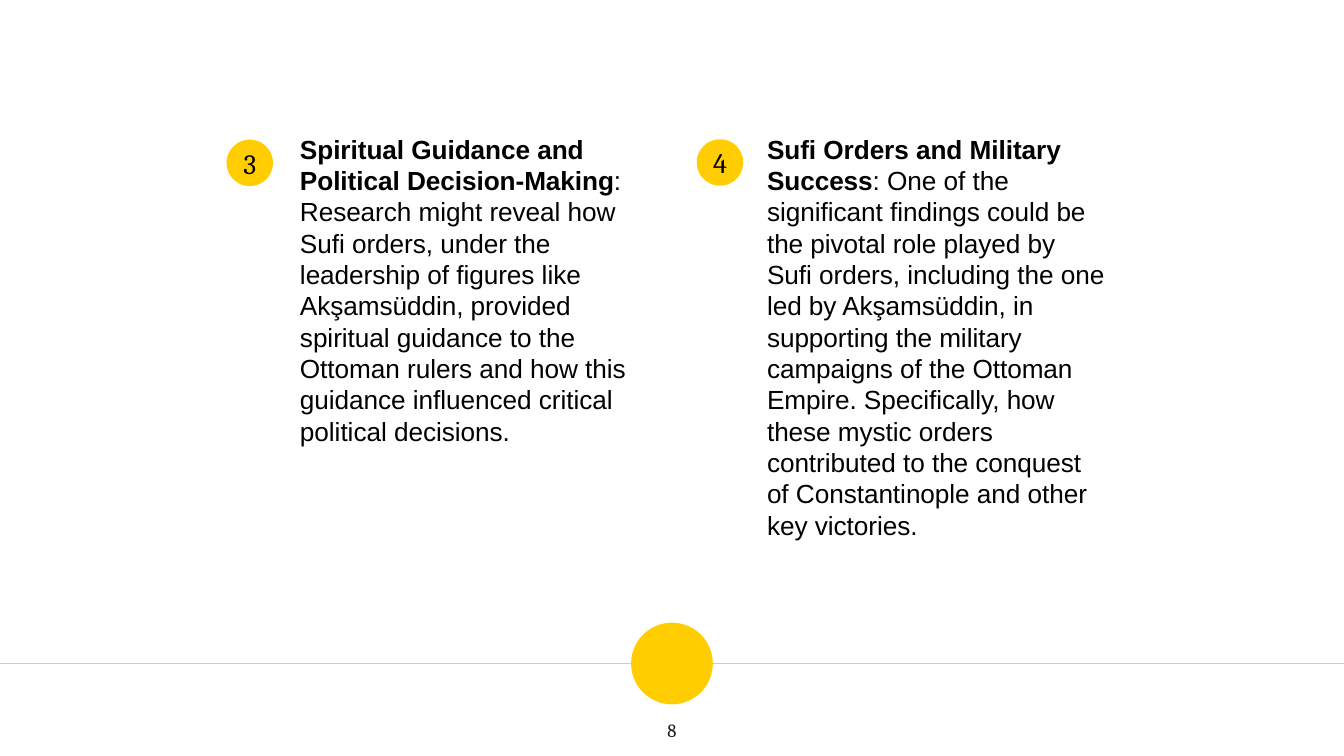
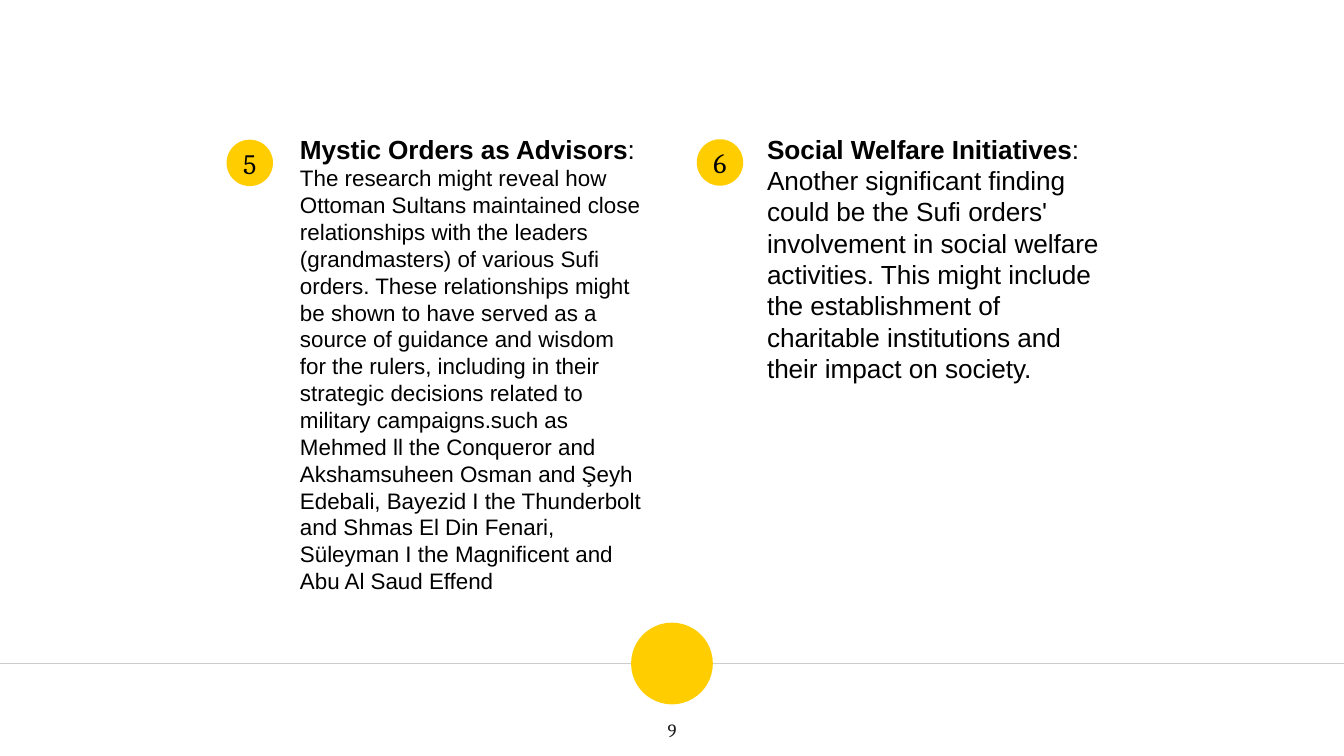
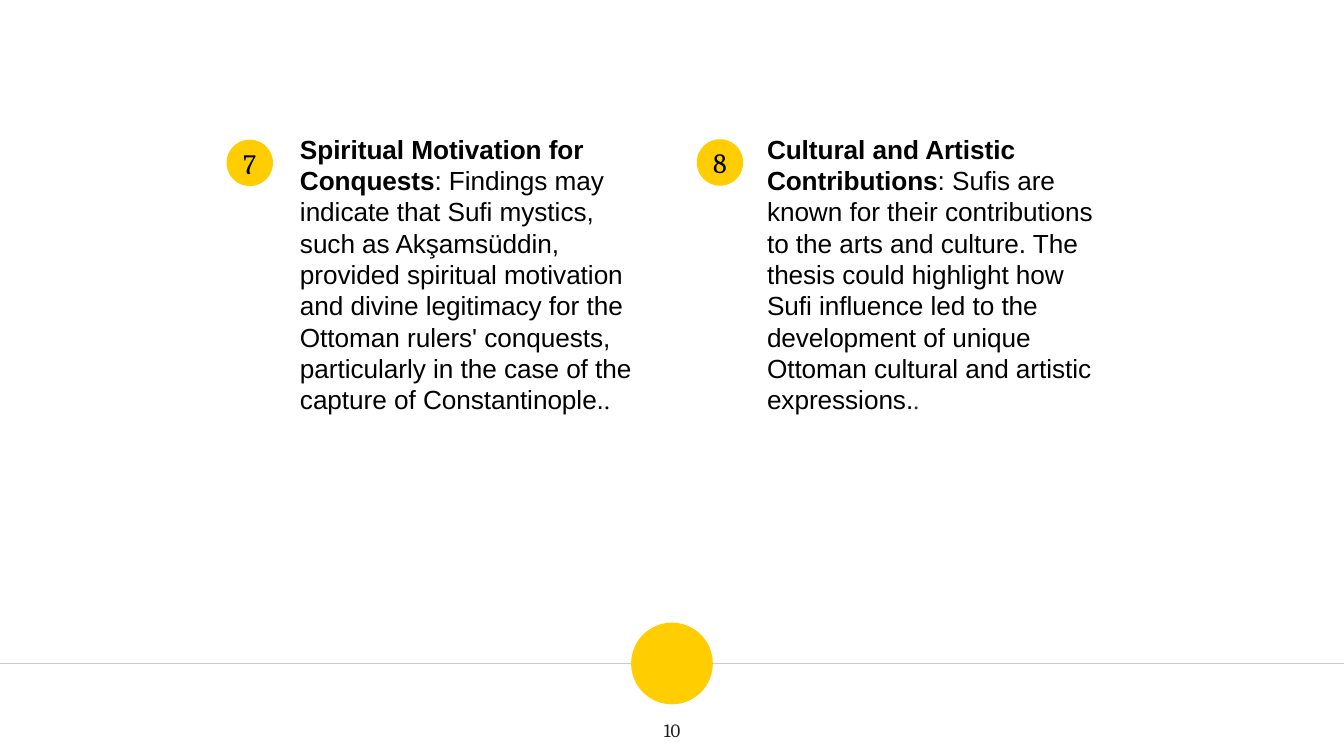
from pptx import Presentation
from pptx.dml.color import RGBColor
from pptx.enum.shapes import MSO_CONNECTOR, MSO_SHAPE
from pptx.enum.text import MSO_ANCHOR, MSO_AUTO_SIZE, PP_ALIGN
from pptx.oxml.ns import qn
from pptx.util import Cm, Pt
from lxml.etree import SubElement

YELLOW = RGBColor(0xFF, 0xCD, 0x00)
RULE_GREY = RGBColor(0xCC, 0xCC, 0xCC)
INK = RGBColor(0x1D, 0x1D, 0x1B)
BLACK = RGBColor(0, 0, 0)
DARK_GREY = RGBColor(0x36, 0x36, 0x36)

# Run styles: font, size, bold, colour
HEADING = ("Arial", 18.67, True, BLACK)
BODY = ("Arial", 18.67, False, BLACK)
SMALL = ("Arial", 16, False, BLACK)
STOP = ("Times New Roman", 18, False, BLACK)
GREY_STOP = ("Times New Roman", 18, False, DARK_GREY)
BADGE = ("Cambria", 20, False, BLACK)
PAGE = ("Cambria", 13.33, False, INK)

FIRST_PAGE = 8
FIRST_FINDING = 3

# Each slide holds two findings, each a list of (text, style)
SLIDES = [
    (
        [("Spiritual Guidance and Political Decision-Making", HEADING),
         (": Research might reveal how Sufi orders, under the leadership of "
          "figures like Akşamsüddin, provided spiritual guidance to the Ottoman "
          "rulers and how this guidance influenced critical political "
          "decisions.", BODY)],
        [("Sufi Orders and Military Success", HEADING),
         (": One of the significant findings could be the pivotal role played "
          "by Sufi orders, including the one led by Akşamsüddin, in supporting "
          "the military campaigns of the Ottoman Empire. Specifically, how these "
          "mystic orders contributed to the conquest of Constantinople and other "
          "key victories.", BODY)],
    ),
    (
        [("Mystic Orders as Advisors", HEADING),
         (": ", BODY),
         ("The research might reveal how Ottoman Sultans maintained close "
          "relationships with the leaders (grandmasters) of various Sufi orders. "
          "These relationships might be shown to have served as a source of "
          "guidance and wisdom for the rulers, including in their strategic "
          "decisions related to military campaigns.such as Mehmed ll the "
          "Conqueror and Akshamsuheen Osman and Şeyh Edebali, Bayezid I the "
          "Thunderbolt and Shmas El Din Fenari, Süleyman I the Magnificent and "
          "Abu Al Saud Effend", SMALL)],
        [("Social Welfare Initiatives", HEADING),
         (": Another significant finding could be the Sufi orders' involvement "
          "in social welfare activities. This might include the establishment of "
          "charitable institutions and their impact on society.", BODY)],
    ),
    (
        [("Spiritual Motivation for Conquests", HEADING),
         (": Findings may indicate that Sufi mystics, such as Akşamsüddin, "
          "provided spiritual motivation and divine legitimacy for the Ottoman "
          "rulers' conquests, particularly in the case of the capture of "
          "Constantinople.", BODY),
         (".", STOP)],
        [("Cultural and Artistic Contributions", HEADING),
         (": Sufis are known for their contributions to the arts and culture. "
          "The thesis could highlight how Sufi influence led to the development "
          "of unique Ottoman cultural and artistic expressions.", BODY),
         (".", GREY_STOP)],
    ),
]

# Geometry in centimetres
SLIDE_WIDTH, SLIDE_HEIGHT = 33.87, 19.05
COLUMNS = [  # badge left, badge top, text left, text width, text height
    (5.71, 3.52, 7.31, 9.17, 13.03),
    (17.56, 3.51, 19.08, 9.07, 12.01),
]
TEXT_TOP = 3.1
BADGE_SIZE = 1.17
RULE_TOP, DISC_SIZE = 16.72, 2.06
PAGE_TOP, PAGE_WIDTH, PAGE_HEIGHT = 17.75, 2.03, 1.3
INSET = 0.25


def add_span(para, text, style):
    span = para.add_run()
    span.text = text
    span.font.name, size, span.font.bold, colour = style
    span.font.size = Pt(size)
    span.font.color.rgb = colour


def set_frame(frame, inset, anchor):
    frame.word_wrap = True
    frame.auto_size = MSO_AUTO_SIZE.NONE
    frame.vertical_anchor = anchor
    frame.margin_left = frame.margin_right = Cm(inset)
    frame.margin_top = frame.margin_bottom = Cm(inset)


def write_centred(shape, text, style, inset=0):
    set_frame(shape.text_frame, inset, MSO_ANCHOR.MIDDLE)
    para = shape.text_frame.paragraphs[0]
    para.alignment = PP_ALIGN.CENTER
    add_span(para, text, style)


def add_disc(slide, left, top, size):
    disc = slide.shapes.add_shape(MSO_SHAPE.OVAL, Cm(left), Cm(top), Cm(size), Cm(size))
    disc.shadow.inherit = False
    disc.fill.solid()
    disc.fill.fore_color.rgb = YELLOW
    disc.line.fill.background()
    return disc


def add_layout_band(slide):
    """Draw the rule and disc, then move them to the shared layout."""
    rule = slide.shapes.add_connector(
        MSO_CONNECTOR.STRAIGHT, 0, Cm(RULE_TOP), Cm(SLIDE_WIDTH), Cm(RULE_TOP))
    rule.line.color.rgb = RULE_GREY
    rule.line.width = Pt(0.75)
    SubElement(rule.element.spPr, qn("a:effectLst"))
    disc = add_disc(slide, (SLIDE_WIDTH - DISC_SIZE) / 2, RULE_TOP - DISC_SIZE / 2, DISC_SIZE)
    first = slide.slide_layout.placeholders[0].element
    for shape in (rule, disc):
        first.addprevious(shape.element)


def fill_finding(body, left, width, height, spans):
    body.left, body.top = Cm(left), Cm(TEXT_TOP)
    body.width, body.height = Cm(width), Cm(height)
    set_frame(body.text_frame, INSET, MSO_ANCHOR.TOP)
    para = body.text_frame.paragraphs[0]
    para.alignment = PP_ALIGN.LEFT
    para.line_spacing = 1.0
    para.space_before = Pt(6)
    for text, style in spans:
        add_span(para, text, style)
    # No bullet and no hanging indent
    properties = para._p.get_or_add_pPr()
    properties.set("marL", "0")
    properties.set("indent", "0")
    SubElement(properties, qn("a:buNone"))


def main():
    deck = Presentation()
    deck.slide_width, deck.slide_height = Cm(SLIDE_WIDTH), Cm(SLIDE_HEIGHT)
    layout = deck.slide_layouts.get_by_name("Two Content")

    for index, findings in enumerate(SLIDES):
        slide = deck.slides.add_slide(layout)
        title = slide.shapes.title.element
        title.getparent().remove(title)
        if index == 0:
            add_layout_band(slide)

        # Page number
        page = slide.shapes.add_textbox(
            Cm((SLIDE_WIDTH - PAGE_WIDTH) / 2), Cm(PAGE_TOP), Cm(PAGE_WIDTH), Cm(PAGE_HEIGHT))
        write_centred(page, str(FIRST_PAGE + index), PAGE, INSET)

        # Numbered findings
        number = FIRST_FINDING + index * len(COLUMNS)
        bodies = list(slide.placeholders)
        for offset, (body, column, spans) in enumerate(zip(bodies, COLUMNS, findings)):
            badge_left, badge_top, *text_area = column
            fill_finding(body, *text_area, spans)
            badge = add_disc(slide, badge_left, badge_top, BADGE_SIZE)
            write_centred(badge, str(number + offset), BADGE)

    deck.save("out.pptx")


if __name__ == "__main__":
    main()
